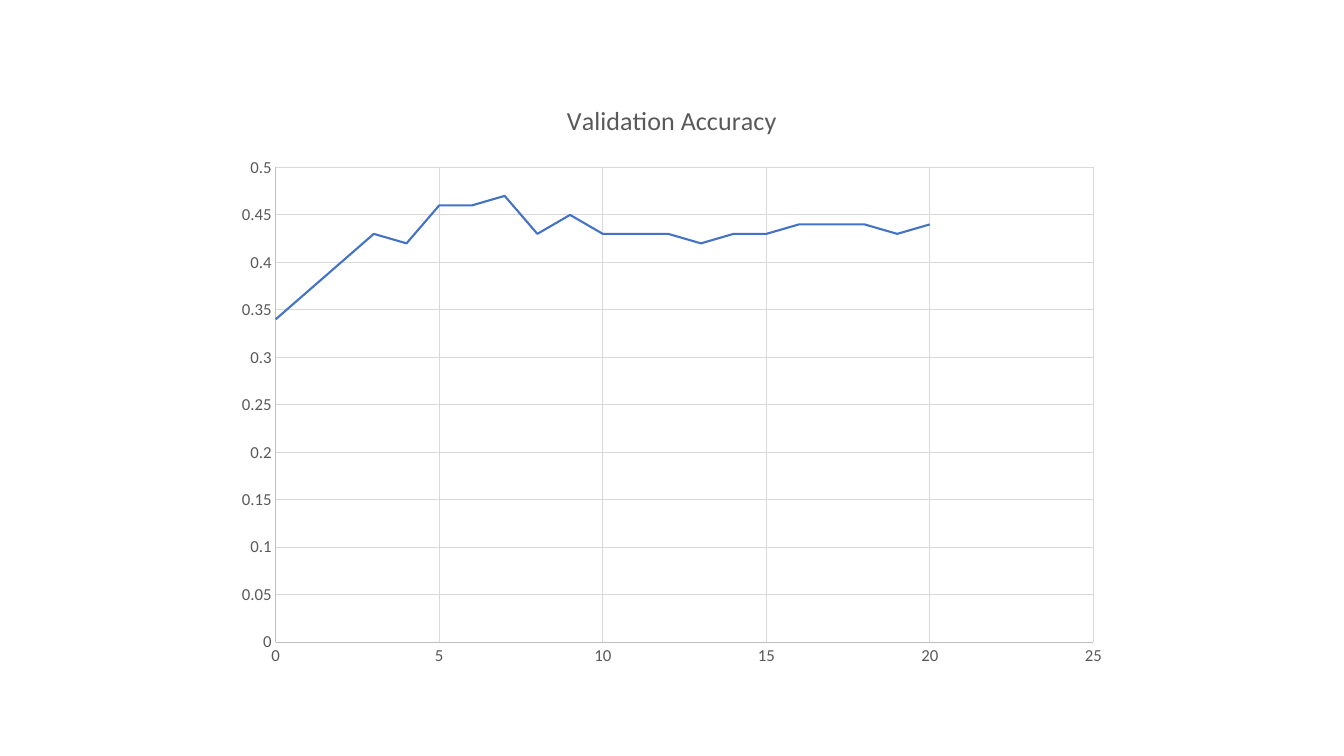
from pptx import Presentation
from pptx import util as u
from pptx.chart.data import XyChartData
from pptx.dml.color import RGBColor
from pptx.enum import chart as ch

PX = 914400 / 100.8
TITLE = "Validation Accuracy"
ACCURACY = [0.34, 0.37, 0.4, 0.43, 0.42, 0.46, 0.46, 0.47, 0.43, 0.45, 0.43,
            0.43, 0.43, 0.42, 0.43, 0.43, 0.44, 0.44, 0.44, 0.43, 0.44]
GREY, AXIS, GRID, BLUE = "595959", "BFBFBF", "D9D9D9", "4472C4"


def px(n):
    return u.Emu(round(n * PX))


def rgb(value):
    return RGBColor.from_string(value)


def style_font(font, size):
    font.name = "Calibri"
    font.size = u.Pt(size)
    font.bold = False
    font.color.rgb = rgb(GREY)


def style_line(line, color, width):
    line.color.rgb = rgb(color)
    line.width = u.Pt(width)


def style_axis(axis, top, step, number_format):
    axis.minimum_scale, axis.maximum_scale, axis.major_unit = 0, top, step
    axis.major_tick_mark = axis.minor_tick_mark = ch.XL_TICK_MARK.NONE
    axis.has_major_gridlines = True
    style_line(axis.major_gridlines.format.line, GRID, 0.75)
    style_line(axis.format.line, AXIS, 0.75)
    style_font(axis.tick_labels.font, 12)
    axis.tick_labels.number_format = number_format
    axis.tick_labels.number_format_is_linked = False


def add_accuracy_chart(slide, x, y, w, h):
    data = XyChartData()
    points = data.add_series(TITLE)
    for epoch, accuracy in enumerate(ACCURACY):
        points.add_data_point(epoch, accuracy)
    chart = slide.shapes.add_chart(ch.XL_CHART_TYPE.XY_SCATTER_LINES_NO_MARKERS,
                                   px(x), px(y), px(w), px(h), data).chart
    chart.has_legend = False
    chart.font.name = "Calibri"
    chart.font.size = u.Pt(10)

    # Title
    chart.has_title = True
    tf = chart.chart_title.text_frame
    tf.text = TITLE
    style_font(tf.paragraphs[0].runs[0].font, 18.6)
    chart.chart_title.include_in_layout = False

    # Axes
    style_axis(chart.category_axis, 25, 5, "General")
    style_axis(chart.value_axis, 0.5, 0.05, "General")

    # Accuracy line
    plot = chart.plots[0]
    plot.vary_by_categories = False
    series = plot.series[0]
    series.smooth = False
    series.marker.style = ch.XL_MARKER_STYLE.NONE
    style_line(series.format.line, BLUE, 1.5)


prs = Presentation()
prs.slide_width, prs.slide_height = px(1344), px(756)
s = prs.slides.add_slide(prs.slide_layouts[6])
add_accuracy_chart(s, 224, 80, 896, 598)
prs.save("out.pptx")
